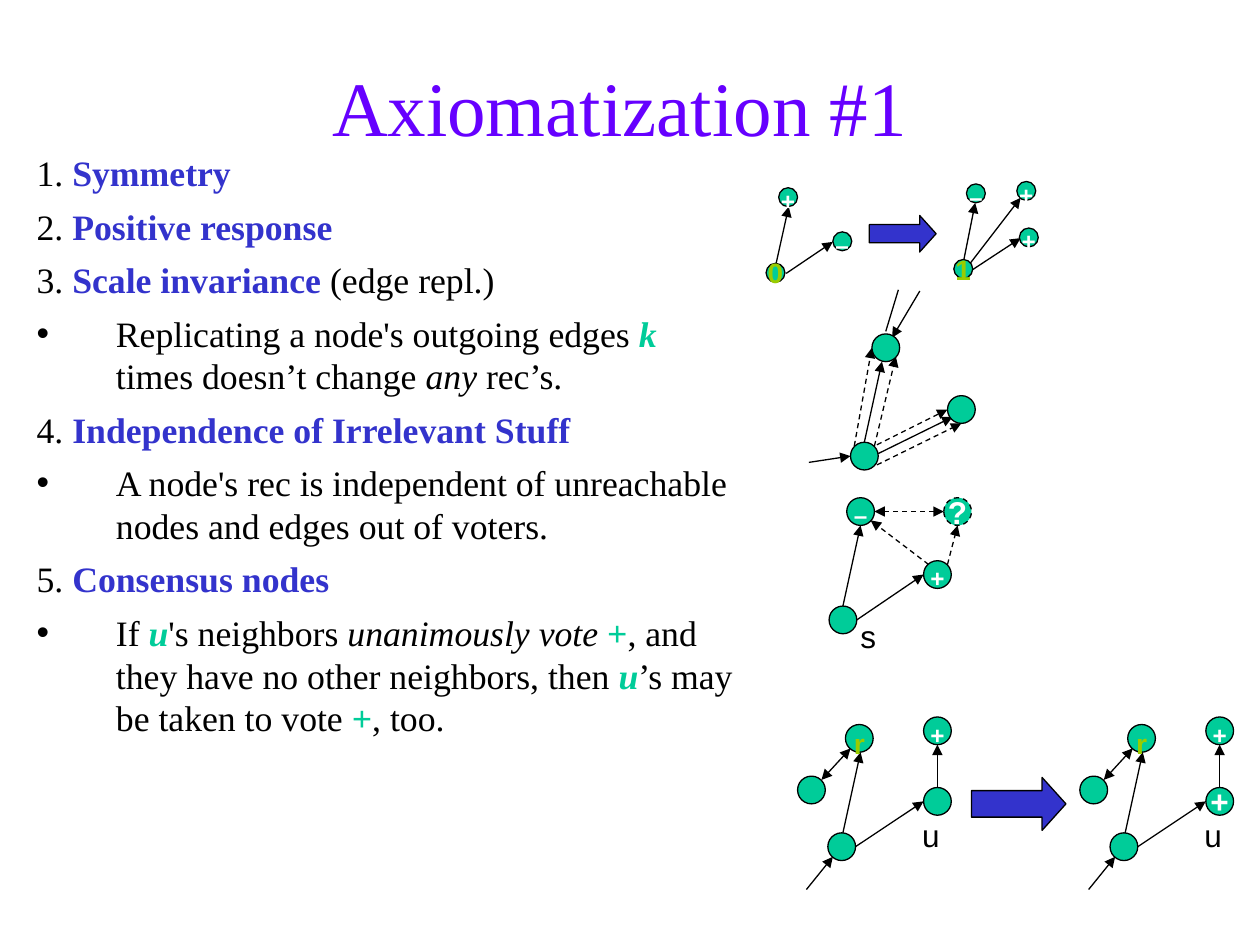
from lxml.etree import SubElement
from pptx import Presentation
from pptx.dml.color import RGBColor
from pptx.enum.dml import MSO_LINE
from pptx.enum.shapes import MSO_CONNECTOR, MSO_SHAPE
from pptx.enum.text import MSO_ANCHOR as Anchor, MSO_AUTO_SIZE as AutoSize, PP_ALIGN as Align
from pptx.oxml.ns import qn
from pptx.util import Inches, Pt

BLUE, GREEN, LIME, BLACK, WHITE = "3333CC", "00CC99", "99CC00", "000000", "FFFFFF"
color = RGBColor.from_string


def add_run(paragraph, text, size=20.4, font="Times New Roman", fill=BLACK,
            bold=False, italic=False, baseline=0):
    run = paragraph.add_run()
    run.text = text
    run.font.size = Pt(size)
    run.font.name = font
    run.font.bold = bold
    run.font.italic = italic
    run.font.color.rgb = color(fill)
    if baseline:
        run.font._element.set("baseline", str(baseline))


def add_outlined(kind, left, top, width, height, fill):
    shape = slide.shapes.add_shape(kind, Inches(left), Inches(top), Inches(width), Inches(height))
    shape.shadow.inherit = False
    shape.fill.solid()
    shape.fill.fore_color.rgb = color(fill)
    shape.line.color.rgb = color(BLACK)
    shape.line.width = Pt(0.75)
    return shape


presentation = Presentation()
presentation.slide_width = Inches(10)
presentation.slide_height = Inches(7.5)
slide = presentation.slides.add_slide(presentation.slide_layouts[1])

title = slide.shapes.title
title.left, title.top, title.width, title.height = map(Inches, (0.67, 0.29, 8.5, 1.1))
title.text_frame.vertical_anchor = Anchor.MIDDLE
title.text_frame.paragraphs[0].alignment = Align.CENTER
add_run(title.text_frame.paragraphs[0], "Axiomatization #1", size=44, fill="6600FF")

heading = {"fill": BLUE, "bold": True}
variable = {"fill": GREEN, "bold": True, "italic": True}
positive = {"fill": GREEN, "bold": True}
emphasis = {"italic": True}
axioms = [
    (False, [("1. ", {}), ("Symmetry", heading)]),
    (False, [("2. ", {}), ("Positive response", heading)]),
    (False, [("3. ", {}), ("Scale invariance ", heading), ("(edge repl.)", {})]),
    (True, [("Replicating a node's outgoing edges ", {}), ("k", variable),
            (" times doesn’t change ", {}), ("any", emphasis), (" rec’s.", {})]),
    (False, [("4. ", {}), ("Independence of Irrelevant Stuff", heading)]),
    (True, [("A node's rec is independent of unreachable nodes and edges out of voters.", {})]),
    (False, [("5. ", {}), ("Consensus nodes", heading)]),
    (True, [("If ", {}), ("u", variable), ("'s neighbors ", {}), ("unanimously vote ", emphasis),
            ("+", positive), (", and they have no other neighbors, then ", {}), ("u", variable),
            ("’s may be taken to vote ", {}), ("+", positive), (", too.", {})]),
]
body = slide.placeholders[1]
body.left, body.top, body.width, body.height = map(Inches, (0.19, 1.15, 5.77, 4.82))
body.text_frame.auto_size = AutoSize.NONE
body.text_frame.vertical_anchor = Anchor.TOP
for index, (bulleted, runs) in enumerate(axioms):
    paragraph = body.text_frame.add_paragraph() if index else body.text_frame.paragraphs[0]
    properties = paragraph._p.get_or_add_pPr()
    properties.set("marL", str(Inches(0.63)))
    properties.set("indent", str(-Inches(0.63)))
    if bulleted:
        SubElement(properties, qn("a:buChar"), char="•")
    else:
        SubElement(properties, qn("a:buNone"))
    paragraph.space_before = Pt(6 if index else 0)
    for text, style in runs:
        add_run(paragraph, text, **style)

edges = [
    (6.24, 2.17, 6.61, 1.92, "end"), (6.16, 2.09, 6.26, 1.64, "end"),
    (7.72, 2.14, 8.1, 1.89, "end"), (7.65, 2.06, 7.74, 1.61, "end"),
    (7.7, 2.09, 8.1, 1.57, "end"),
    (7.03, 2.63, 7.13, 2.3, ""), (7.3, 2.31, 7.08, 2.68, "end"),
    (6.42, 3.67, 6.75, 3.62, "end"), (6.86, 3.51, 7, 2.87, "end"),
    (6.96, 3.53, 7.52, 3.25, "end dash"), (6.97, 3.6, 7.56, 3.31, "end"),
    (6.96, 3.69, 7.63, 3.36, "end dash"), (6.94, 3.54, 7.11, 2.83, "end dash"),
    (6.78, 3.54, 6.92, 2.76, "end dash"),
    (6.8, 4.92, 7.33, 4.56, "end"), (7.37, 4.48, 6.91, 4.13, "end dash"),
    (7.52, 4.48, 7.6, 4.17, "end dash"), (6.69, 4.81, 6.83, 4.17, "end"),
    (6.94, 4.06, 7.49, 4.06, "start end dash"),
]
vote = {"size": 24, "fill": WHITE, "baseline": 8000}
score = {"size": 16, "fill": LIME}
mark = {"size": 18, "fill": WHITE}
result = {"size": 28, "fill": LIME, "baseline": 8000}
small, large = 0.15, 0.22
nodes = [
    (6.61, 1.84, small, "–", vote), (6.08, 2.09, small, "0", score), (6.18, 1.49, small, "+", vote),
    (8.09, 1.81, small, "+", vote), (7.57, 2.06, small, "1", score), (7.67, 1.46, small, "–", vote),
    (8.07, 1.44, small, "+", vote),
    (6.75, 3.51, large, "", {}), (6.92, 2.65, large, "", {}), (7.52, 3.14, large, "", {}),
    (7.33, 4.45, large, "+", vote), (6.58, 4.81, large, "", {}), (6.72, 3.95, large, "–", vote),
    (7.49, 3.95, large, "?", mark),
]
labels = [(6.73, 4.85, 0.32, "s")]

for shift, consensus in ((0, ""), (2.24, "+")):
    edges += [(x1 + shift, y1, x2 + shift, y2, ends) for x1, y1, x2, y2, ends in (
        (6.79, 6.72, 7.33, 6.36, "end"), (6.52, 6.19, 6.75, 5.94, "start end"),
        (7.44, 6.25, 7.44, 5.91, "end"), (6.69, 6.61, 6.83, 5.97, "end"),
        (6.4, 7.06, 6.61, 6.8, "end"))]
    nodes += [(x + shift, y, large, text, style) for x, y, text, style in (
        (7.33, 6.25, consensus, mark), (6.57, 6.61, "", {}), (6.71, 5.75, "r", result),
        (7.33, 5.69, "+", vote), (6.33, 6.16, "", {}))]
    labels.append((7.22 + shift, 6.43, 0.34, "u"))

for x1, y1, x2, y2, ends in edges:
    edge = slide.shapes.add_connector(MSO_CONNECTOR.STRAIGHT, *map(Inches, (x1, y1, x2, y2)))
    edge.line.color.rgb = color(BLACK)
    edge.line.width = Pt(0.75)
    if "dash" in ends:
        edge.line.dash_style = MSO_LINE.DASH
    for end, tag in (("start", "a:headEnd"), ("end", "a:tailEnd")):
        if end in ends:
            SubElement(edge.line._get_or_add_ln(), qn(tag), type="triangle")
    SubElement(edge._element.spPr, qn("a:effectLst"))

for left, top, diameter, text, style in nodes:
    node = add_outlined(MSO_SHAPE.OVAL, left, top, diameter, diameter, GREEN)
    if text == "?":
        node.line.dash_style = MSO_LINE.DASH
    if text:
        node.text_frame.word_wrap = False
        node.text_frame.vertical_anchor = Anchor.MIDDLE
        node.text_frame.paragraphs[0].alignment = Align.CENTER
        add_run(node.text_frame.paragraphs[0], text, font="Arial", bold=True, **style)

for left, top, width, height in ((6.9, 1.71, 0.53, 0.29), (7.71, 6.17, 0.75, 0.42)):
    arrow = add_outlined(MSO_SHAPE.RIGHT_ARROW, left, top, width, height, BLUE)
    arrow.adjustments[1] = 0.45

for left, top, width, text in labels:
    label = slide.shapes.add_textbox(Inches(left), Inches(top), Inches(width), Inches(0.4))
    label.text_frame.word_wrap = False
    add_run(label.text_frame.paragraphs[0], text, size=18, font="Arial")

presentation.save("out.pptx")
